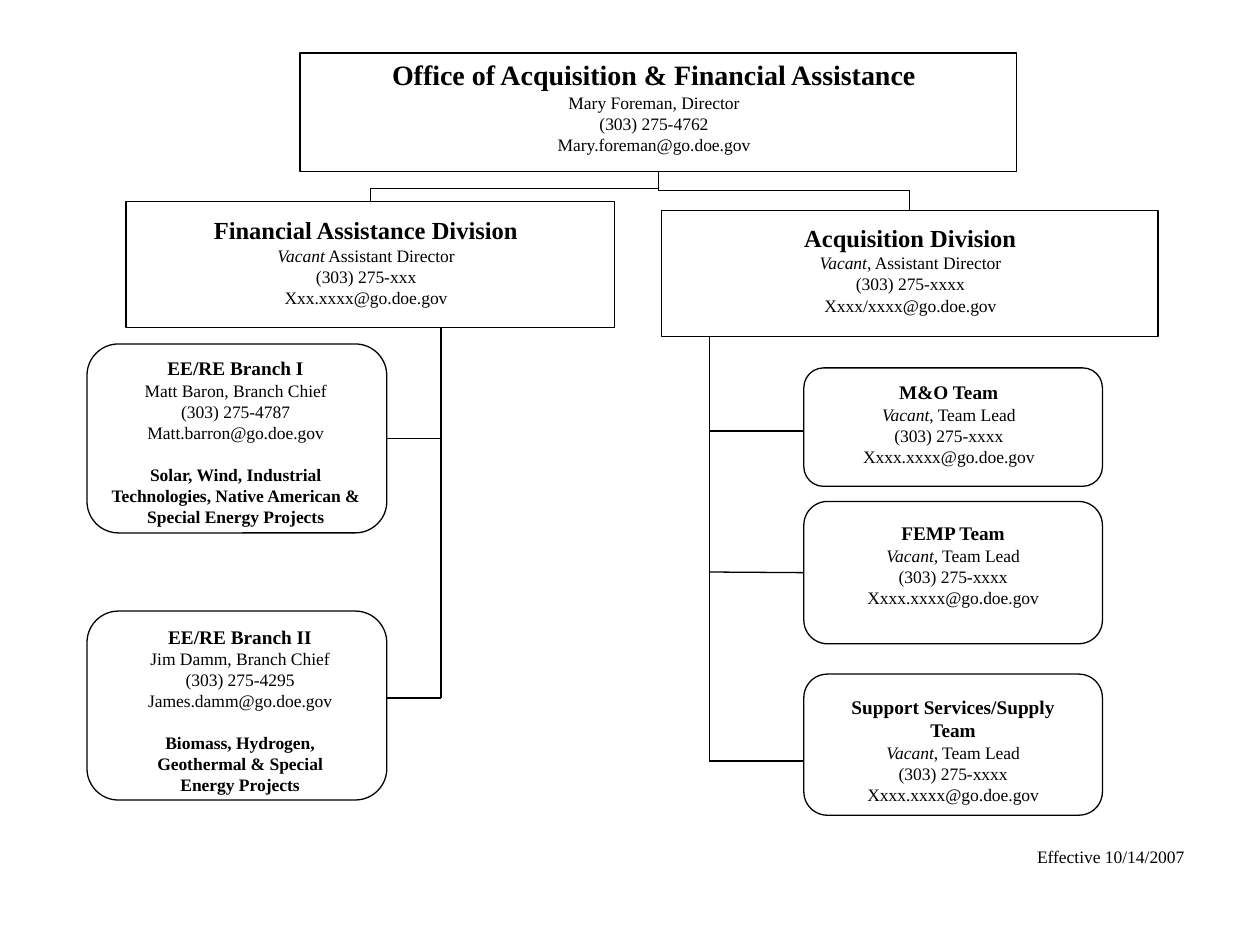
from lxml.etree import SubElement
from pptx import Presentation
from pptx.dml.color import RGBColor
from pptx.enum.shapes import MSO_CONNECTOR, MSO_SHAPE
from pptx.enum.text import MSO_ANCHOR, MSO_AUTO_SIZE, PP_ALIGN
from pptx.oxml.ns import qn
from pptx.util import Inches, Pt

BLACK = RGBColor(0, 0, 0)
FONT = "Times New Roman"

OFFICE = dict(
    box=(2.38, 0.42, 5.69, 0.94), text=(2.5, 0.42, 5.38, 0.88), size=16,
    heading="Office of Acquisition & Financial Assistance",
    lines=["Mary Foreman, Director", "(303) 275-4762", "Mary.foreman@go.doe.gov"])

DIVISIONS = [
    dict(box=(1, 1.6, 3.88, 1), text=(1.31, 1.67, 3.19, 0.88), size=14,
         heading="Financial Assistance Division",
         lines=[("Vacant", " Assistant Director"), "(303) 275-xxx", "Xxx.xxxx@go.doe.gov"],
         bend=0.58, trunk=(3.5, 5.54),
         units=[
             dict(box=(0.69, 2.73, 2.38, 1.5), text=(0.81, 2.79, 2.12, 1.37),
                  heading="EE/RE Branch I", branch=3.48,
                  lines=["Matt Baron, Branch Chief", "(303) 275-4787", "Matt.barron@go.doe.gov"],
                  topics=["Solar, Wind, Industrial",
                          "Technologies, Native American & Special Energy Projects"]),
             dict(box=(0.69, 4.85, 2.38, 1.5), text=(0.81, 4.92, 2.19, 1.38),
                  heading="EE/RE Branch II", branch=5.54,
                  lines=["Jim Damm, Branch Chief", "(303) 275-4295", "James.damm@go.doe.gov"],
                  topics=["Biomass, Hydrogen,", "Geothermal & Special", "Energy Projects"]),
         ]),
    dict(box=(5.25, 1.67, 3.94, 1), text=(5.38, 1.73, 3.69, 0.88), size=14,
         heading="Acquisition Division",
         lines=[("Vacant", ", Assistant Director"), "(303) 275-xxxx", "Xxxx/xxxx@go.doe.gov"],
         bend=0.5, trunk=(5.63, 6.04),
         units=[
             dict(box=(6.38, 2.92, 2.37, 0.94), text=(6.5, 2.98, 2.06, 0.81),
                  heading="M&O Team", branch=3.42,
                  lines=[("Vacant", ", Team Lead"), "(303) 275-xxxx", "Xxxx.xxxx@go.doe.gov"]),
             dict(box=(6.38, 3.98, 2.37, 1.13), text=(6.5, 4.1, 2.13, 0.94),
                  heading="FEMP Team", branch=4.54,
                  lines=[("Vacant,", " Team Lead"), "(303) 275-xxxx", "Xxxx.xxxx@go.doe.gov"]),
             dict(box=(6.38, 5.35, 2.37, 1.12), text=(6.6, 5.48, 1.93, 0.94),
                  heading="Support Services/Supply Team", branch=6.04,
                  lines=[("Vacant", ", Team Lead"), "(303) 275-xxxx", "Xxxx.xxxx@go.doe.gov"]),
         ]),
]
EFFECTIVE = ("Effective 10/14/2007", (8.19, 6.67, 1.38, 0.25))


def place(shape, area):
    shape.left, shape.top, shape.width, shape.height = map(Inches, area)


def add_box(slide, kind, area):
    shape = slide.shapes.add_shape(kind, *map(Inches, area))
    shape.fill.background()
    shape.line.color.rgb = BLACK
    shape.line.width = Pt(0.75)
    shape.shadow.inherit = False
    return shape


def write(shape, area, rows, alignment=PP_ALIGN.CENTER):
    place(shape, area)
    frame = shape.text_frame
    frame.word_wrap = True
    frame.auto_size = MSO_AUTO_SIZE.NONE
    frame.vertical_anchor = MSO_ANCHOR.TOP
    frame.margin_left = frame.margin_right = Inches(0.04)
    frame.margin_top = frame.margin_bottom = Inches(0.04)
    for index, (content, size, bold, gap) in enumerate(rows):
        paragraph = frame.add_paragraph() if index else frame.paragraphs[0]
        paragraph.alignment = alignment
        paragraph.space_before = Pt(gap)
        italic, plain = content if isinstance(content, tuple) else ("", content)
        for words in filter(None, (italic, plain)):
            run = paragraph.add_run()
            run.text = words
            font = run.font
            font.name, font.size, font.bold = FONT, Pt(size), bold
            font.italic = words == italic
            font.color.rgb = BLACK


def entry_rows(entry):
    rows = [(entry["heading"], entry.get("size", 11), True, 0)]
    rows += [(line, 10, False, 0) for line in entry["lines"]]
    rows += [(topic, 10, True, 0 if index else 12)
             for index, topic in enumerate(entry.get("topics", []))]
    return rows


def add_line(slide, start, end, kind=MSO_CONNECTOR.STRAIGHT):
    connector = slide.shapes.add_connector(kind, *map(Inches, start + end))
    connector.line.color.rgb = BLACK
    connector.line.width = Pt(0.75)
    SubElement(connector.element.spPr, qn("a:effectLst"))
    return connector


def add_elbow(slide, parent, child, bend):
    start = (parent.left + parent.width // 2, parent.top + parent.height)
    end = (child.left + child.width // 2, child.top)
    connector = add_line(slide, (0, 0), (1, 1), MSO_CONNECTOR.ELBOW)
    connector.begin_connect(parent, 2)
    connector.end_connect(child, 0)
    drop, reach = end[1] - start[1], abs(end[0] - start[0])
    connector.width, connector.height = drop, reach
    connector.left = (start[0] + end[0] - drop) // 2
    connector.top = (start[1] + end[1] - reach) // 2
    properties = connector.element.spPr
    transform = properties.find(qn("a:xfrm"))
    rightward = end[0] > start[0]
    transform.set("rot", "16200000" if rightward else "5400000")
    transform.set("flipH", "1" if rightward else "0")
    transform.set("flipV", "0")
    adjustments = properties.find(qn("a:prstGeom")).find(qn("a:avLst"))
    SubElement(adjustments, qn("a:gd"), name="adj1", fmla=f"val {round(bend * 100000)}")


def add_unit(slide, unit, trunk_x):
    left, top, width, height = unit["box"]
    shape = add_box(slide, MSO_SHAPE.ROUNDED_RECTANGLE, unit["box"])
    write(slide.shapes.add_textbox(0, 0, 0, 0), unit["text"], entry_rows(unit))
    on_left = left < trunk_x
    edge = left + width if on_left else left
    connector = add_line(slide, (trunk_x, unit["branch"]), (edge, unit["branch"]))
    if abs(top + height / 2 - unit["branch"]) < 0.01:
        connector.end_connect(shape, 3 if on_left else 1)


def main():
    presentation = Presentation()
    presentation.slide_width, presentation.slide_height = Inches(10), Inches(7.5)
    slide = presentation.slides.add_slide(presentation.slide_layouts[5])

    office = add_box(slide, MSO_SHAPE.RECTANGLE, OFFICE["box"])
    write(slide.shapes.title, OFFICE["text"], entry_rows(OFFICE))
    for division in DIVISIONS:
        shape = add_box(slide, MSO_SHAPE.RECTANGLE, division["box"])
        write(slide.shapes.add_textbox(0, 0, 0, 0), division["text"], entry_rows(division))
        add_elbow(slide, office, shape, division["bend"])
        trunk_x, trunk_end = division["trunk"]
        top, height = division["box"][1], division["box"][3]
        add_line(slide, (trunk_x, top + height), (trunk_x, trunk_end))
        for unit in division["units"]:
            add_unit(slide, unit, trunk_x)

    words, area = EFFECTIVE
    write(slide.shapes.add_textbox(0, 0, 0, 0), area, [(words, 10, False, 0)], PP_ALIGN.LEFT)
    presentation.save("out.pptx")


if __name__ == "__main__":
    main()
